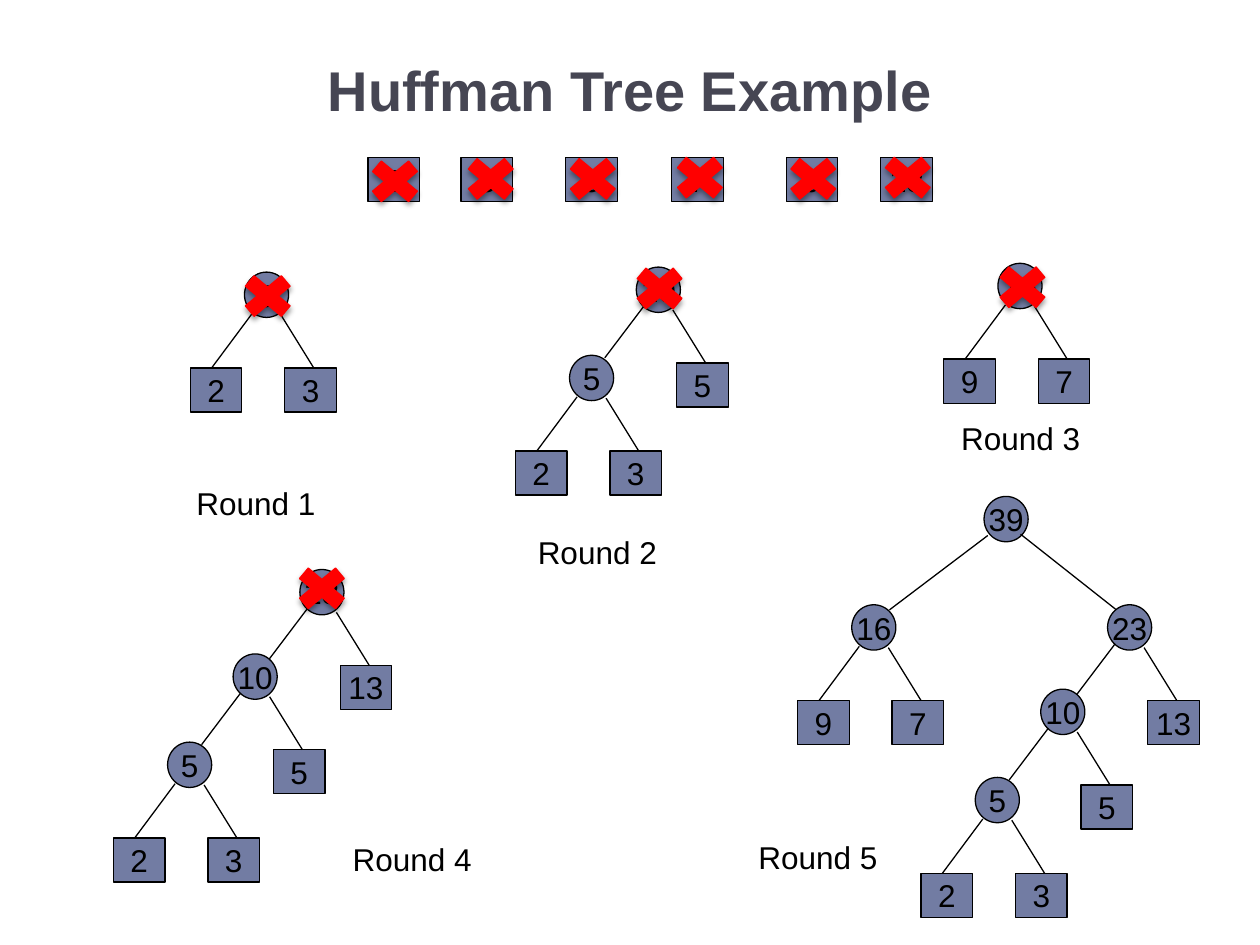
from lxml import etree
from pptx import Presentation
from pptx.dml.color import RGBColor
from pptx.enum import shapes, text
from pptx.oxml.ns import qn
from pptx.util import Inches, Pt

COLORS = {"title": "464653", "node": "727CA3", "ink": "000000", "cross": "FF0000"}
CIRCLE = (0.35, 0.36)
BOX = (0.41, 0.35)
CROSS = (0.55, 0.46)

# Row of starting weights: left edge and value
WEIGHTS_TOP = 1.25
WEIGHTS = [(2.92, 2), (3.66, 3), (4.49, 5), (5.33, 7), (6.24, 9), (6.99, 13)]

# Inner nodes per round: left, top, value, left leaf, right leaf.
# A left leaf of None means that the next inner node hangs there.
ROUNDS = [
    [(1.94, 2.16, 5, 2, 3)],
    [(5.05, 2.12, 10, None, 5), (4.52, 2.82, 5, 2, 3)],
    [(7.92, 2.09, 16, 9, 7)],
    [(2.38, 4.52, 23, None, 13), (1.85, 5.19, 10, None, 5), (1.33, 5.89, 5, 2, 3)],
    [(6.76, 4.8, 16, 9, 7), (8.79, 4.8, 23, None, 13),
     (8.26, 5.47, 10, None, 5), (7.74, 6.17, 5, 2, 3)],
]
# Left, top, width of the label of each round
LABELS = [(1.46, 3.79, 1.29), (4.17, 4.18, 1.2), (7.53, 3.28, 1.22),
          (2.7, 6.62, 1.22), (5.92, 6.6, 1.25)]

# Nodes that have been merged already
CROSSES = [(2.86, 1.21), (3.62, 1.19), (4.43, 1.19), (5.28, 1.18), (6.18, 1.19),
           (6.93, 1.18), (1.85, 2.12), (4.96, 2.06), (7.84, 2.05), (2.28, 4.44)]


def color(name):
    return RGBColor.from_string(COLORS[name])


def write(frame, content, size=18, ink="ink", bold=False,
          align=text.PP_ALIGN.LEFT, anchor=text.MSO_ANCHOR.TOP, wrap=True):
    frame.word_wrap = wrap
    frame.vertical_anchor = anchor
    paragraph = frame.paragraphs[0]
    paragraph.alignment = align
    run = paragraph.add_run()
    run.text = str(content)
    run.font.name = "Arial"
    run.font.size = Pt(size)
    run.font.bold = bold
    run.font.color.rgb = color(ink)


def add_filled(slide, preset, x, y, size, fill, line):
    shape = slide.shapes.add_shape(preset, Inches(x), Inches(y), *map(Inches, size))
    shape.fill.solid()
    shape.fill.fore_color.rgb = color(fill)
    shape.line.color.rgb = color(line)
    shape.line.width = Pt(0.75)
    shape.shadow.inherit = False
    return shape


def add_node(slide, x, y, value, leaf=False):
    preset = shapes.MSO_SHAPE.RECTANGLE if leaf else shapes.MSO_SHAPE.OVAL
    node = add_filled(slide, preset, x, y, BOX if leaf else CIRCLE, "node", "ink")
    write(node.text_frame, value, align=text.PP_ALIGN.CENTER,
          anchor=text.MSO_ANCHOR.MIDDLE, wrap=False)


def add_edge(slide, x1, y1, x2, y2):
    edge = slide.shapes.add_connector(
        shapes.MSO_CONNECTOR.STRAIGHT, *map(Inches, (x1, y1, x2, y2)))
    edge.line.color.rgb = color("ink")
    edge.line.width = Pt(0.75)
    etree.SubElement(edge._element.spPr, qn("a:effectLst"))


def add_branch(slide, x, y, value, left, right):
    """Draw an inner node, its two edges and its leaves."""
    add_node(slide, x, y, value)
    if left is None:
        add_edge(slide, x + 0.06, y + 0.31, x - 0.25, y + 0.72)
    else:
        add_node(slide, x - 0.43, y + 0.76, left, leaf=True)
        add_edge(slide, x + 0.06, y + 0.33, x - 0.26, y + 0.76)
    add_node(slide, x + 0.32, y + 0.76, right, leaf=True)
    add_edge(slide, x + 0.29, y + 0.34, x + 0.55, y + 0.76)


def add_label(slide, x, y, width, content):
    label = slide.shapes.add_textbox(*map(Inches, (x, y, width, 0.4)))
    write(label.text_frame, content)
    label.text_frame.auto_size = text.MSO_AUTO_SIZE.SHAPE_TO_FIT_TEXT


def add_cross(slide, x, y):
    cross = add_filled(slide, shapes.MSO_SHAPE.MATH_MULTIPLY, x, y, CROSS, "cross", "cross")
    effects = cross._element.spPr.find(qn("a:effectLst"))
    shadow = etree.SubElement(effects, qn("a:outerShdw"), blurRad=str(Pt(3)),
                              dist=str(Pt(2)), dir="5400000", rotWithShape="0")
    tint = etree.SubElement(shadow, qn("a:srgbClr"), val=COLORS["ink"])
    etree.SubElement(tint, qn("a:alpha"), val="40000")


def main():
    deck = Presentation()
    deck.slide_width, deck.slide_height = Inches(10), Inches(7.5)
    slide = deck.slides.add_slide(deck.slide_layouts[5])

    # Title
    title = slide.shapes.title
    title.left, title.top, title.width, title.height = map(Inches, (0.5, 0.17, 9, 1.08))
    write(title.text_frame, "Huffman Tree Example", size=32, ink="title", bold=True,
          align=text.PP_ALIGN.CENTER, anchor=text.MSO_ANCHOR.MIDDLE)

    # Trees, one for each round
    for number, (branches, label) in enumerate(zip(ROUNDS, LABELS), start=1):
        for branch in branches:
            add_branch(slide, *branch)
        add_label(slide, *label, f"Round {number}")

    # Root that joins the last two trees
    add_node(slide, 7.81, 3.94, 39)
    add_edge(slide, 7.84, 4.25, 7.06, 4.84)
    add_edge(slide, 8.1, 4.24, 8.86, 4.84)

    # Starting weights
    for x, weight in WEIGHTS:
        add_node(slide, x, WEIGHTS_TOP, weight, leaf=True)

    # Crosses over merged nodes
    for x, y in CROSSES:
        add_cross(slide, x, y)

    deck.save("out.pptx")


if __name__ == "__main__":
    main()
